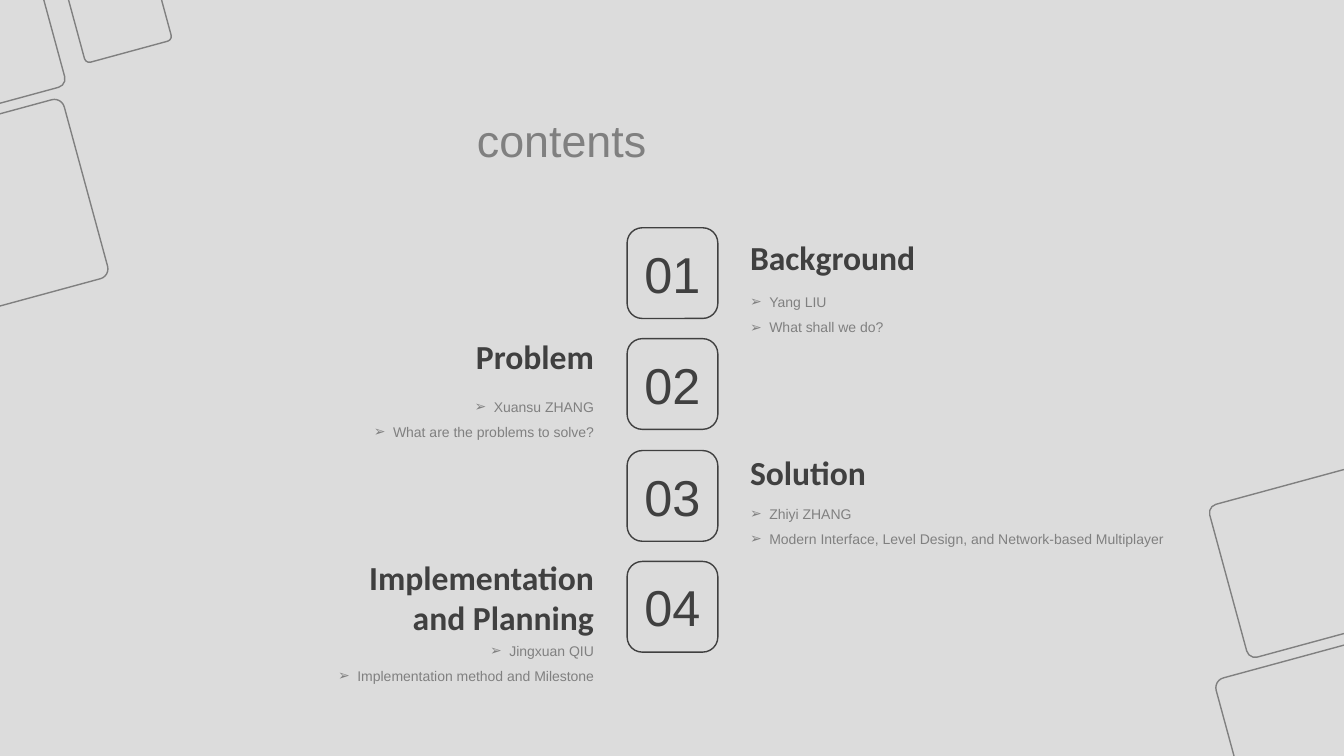
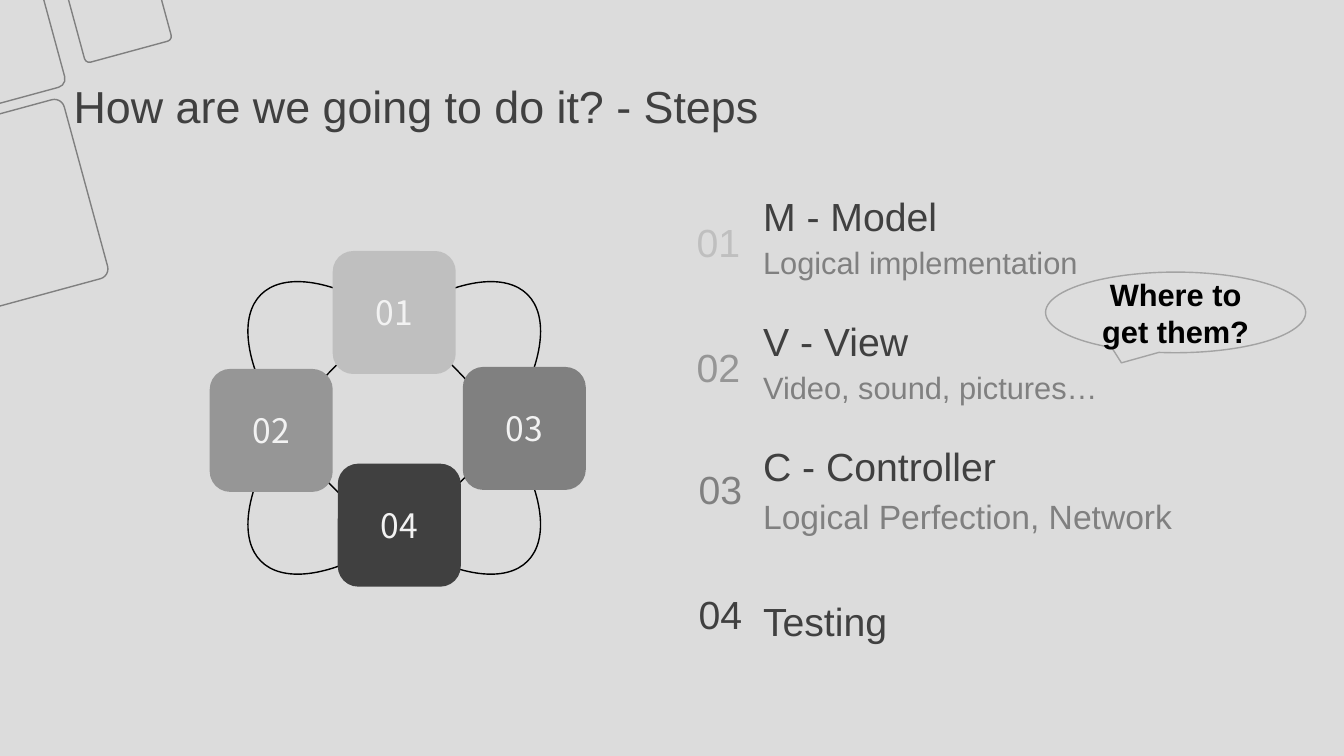
"""Build a contents slide and a steps slide on a shared grey theme."""
from lxml import etree
from pptx import Presentation
from pptx import util as u
from pptx.dml import color
from pptx.enum import shapes, text
from pptx.oxml import ns

INK, MID, PALE = "404040", "808080", "BFBFBF"
LEFT, RIGHT, CENTER, JUST = (text.PP_ALIGN.LEFT, text.PP_ALIGN.RIGHT,
                             text.PP_ALIGN.CENTER, text.PP_ALIGN.JUSTIFY)
TOP, MIDDLE = text.MSO_ANCHOR.TOP, text.MSO_ANCHOR.MIDDLE
ROUND, OVAL = shapes.MSO_SHAPE.ROUNDED_RECTANGLE, shapes.MSO_SHAPE.OVAL
hue = color.RGBColor.from_string


def write(box, lines, size, tint, align=LEFT, anchor=MIDDLE, gap=1.0,
          face="Arial", bold=False, mark=None, at=None):
    """Fill a box with styled paragraphs, moving it first when asked."""
    if at:
        box.left, box.top, box.width, box.height = [px(n) for n in at]
    frame = box.text_frame
    frame.word_wrap = True
    frame.auto_size = text.MSO_AUTO_SIZE.NONE
    frame.vertical_anchor = anchor
    for i, line in enumerate(lines):
        para = frame.add_paragraph() if i else frame.paragraphs[0]
        para.alignment, para.line_spacing = align, gap
        para.space_before = u.Pt(0)
        if mark:
            props = para._p.get_or_add_pPr()
            props.set("marL", str(px(19)))
            props.set("indent", str(-px(19)))
            etree.SubElement(props, ns.qn("a:buChar")).set("char", mark)
        run = para.add_run()
        run.text = line
        run.font.name, run.font.size, run.font.bold = face, u.Pt(size), bold
        run.font.color.rgb = hue(tint)


def draw(slide, kind, at, fill=None, line=None, turn=0):
    """Add a flat preset shape."""
    shape = slide.shapes.add_shape(kind, *[px(n) for n in at])
    shape.shadow.inherit = False
    shape.rotation = turn
    if fill:
        shape.fill.solid()
        shape.fill.fore_color.rgb = hue(fill)
    else:
        shape.fill.background()
    if line:
        shape.line.color.rgb = hue(line)
        shape.line.width = u.Pt(1)
    else:
        shape.line.fill.background()
    return shape


px = lambda n: n * 9144

deck = Presentation()
deck.slide_width, deck.slide_height = px(1333), px(750)
back = deck.slide_master.background.fill
back.solid()
back.fore_color.rgb = hue("DCDCDC")

toc = deck.slides.add_slide(deck.slide_layouts[4])
steps = deck.slides.add_slide(deck.slide_layouts[5])

corner = [(-133, -46, 182, 157), (-124, 121, 213, 184), (63, -103, 89, 157)]
foot = [(1215, 476, 182, 157), (1224, 644, 213, 184)]
for slide, tiles in ((toc, corner + foot), (steps, corner)):
    for tile in tiles:
        draw(slide, ROUND, tile, line=MID, turn=344.8).adjustments[0] = 0.055

write(toc.shapes.title, ["contents"], 32, MID, JUST, TOP, 1.5,
      at=(463, 80, 407, 122))
parts = [
    ("Background", 226, 58, 278, ["Yang LIU", "What shall we do?"]),
    ("Problem", 324, 58, 382,
     ["Xuansu ZHANG", "What are the problems to solve?"]),
    ("Solution", 439, 58, 488,
     ["Zhiyi ZHANG",
      "Modern Interface, Level Design, and Network-based Multiplayer"]),
    ("Implementation and Planning", 551, 83, 624,
     ["Jingxuan QIU", "Implementation method and Milestone"]),
]
for i, (head, top, high, low, items) in enumerate(parts):
    tile = draw(toc, ROUND, (622, 226 + 110 * i + i // 2, 90, 90), line=INK)
    write(tile, [f"{i + 1:02}"], 36, INK, CENTER)
    side, x, start = (RIGHT, 341, 141) if i % 2 else (LEFT, 734, 734)
    box = toc.shapes.add_textbox(0, 0, 0, 0)
    write(box, [head], 24, INK, side, face="Calibri", bold=True,
          at=(x, top, 258, high))
    write(toc.placeholders[i + 1], items, 10, MID, side, TOP, 1.5, mark="➢",
          at=(start, low, 458, 61))

write(steps.shapes.title, ["How are we going to do it? - Steps"], 32, INK,
      at=(63, 69, 815, 72))
for turn in (45, 135):
    draw(steps, OVAL, (204, 340, 374, 169), line="000000", turn=turn)
tiles = [("01", 330, 249, PALE), ("03", 459, 364, MID),
         ("04", 335, 460, INK), ("02", 208, 366, "969696")]
for num, x, y, tint in tiles:
    write(draw(steps, ROUND, (x, y, 122, 122), fill=tint), [num], 24,
          "F2F2F2", CENTER, face="Noto Sans CJK SC")

rows = [
    ("M - Model", 177, 51, "Logical implementation", 22, 671, 198, PALE),
    ("V - View", 301, 51, "Video, sound, pictures…", 22, 671, 322, "969696"),
    ("C - Controller", 425, 51, "Logical Perfection, Network", 24, 673, 443,
     MID),
    ("Testing", 573, 63, None, 0, 673, 567, INK),
]
for i, (head, top, high, note, size, x, y, tint) in enumerate(rows):
    box = steps.shapes.add_textbox(0, 0, 0, 0)
    write(box, [head], 28, INK, gap=1.5, at=(747, top, 360, high))
    if note:
        box = steps.shapes.add_textbox(0, 0, 0, 0)
        write(box, [note], size, MID, anchor=TOP, gap=1.5,
              at=(747, top + 42, 528, 60))
    box = steps.shapes.add_textbox(0, 0, 0, 0)
    write(box, [f"{i + 1:02}"], 28, tint, CENTER, at=(x, y, 83, 83))

call = draw(steps, shapes.MSO_SHAPE.OVAL_CALLOUT, (1037, 270, 258, 80),
            fill="DDDDDD", line="A3A3A3")
write(call, ["Where to get them?"], 22, "000000", CENTER, bold=True)

deck.save("out.pptx")
